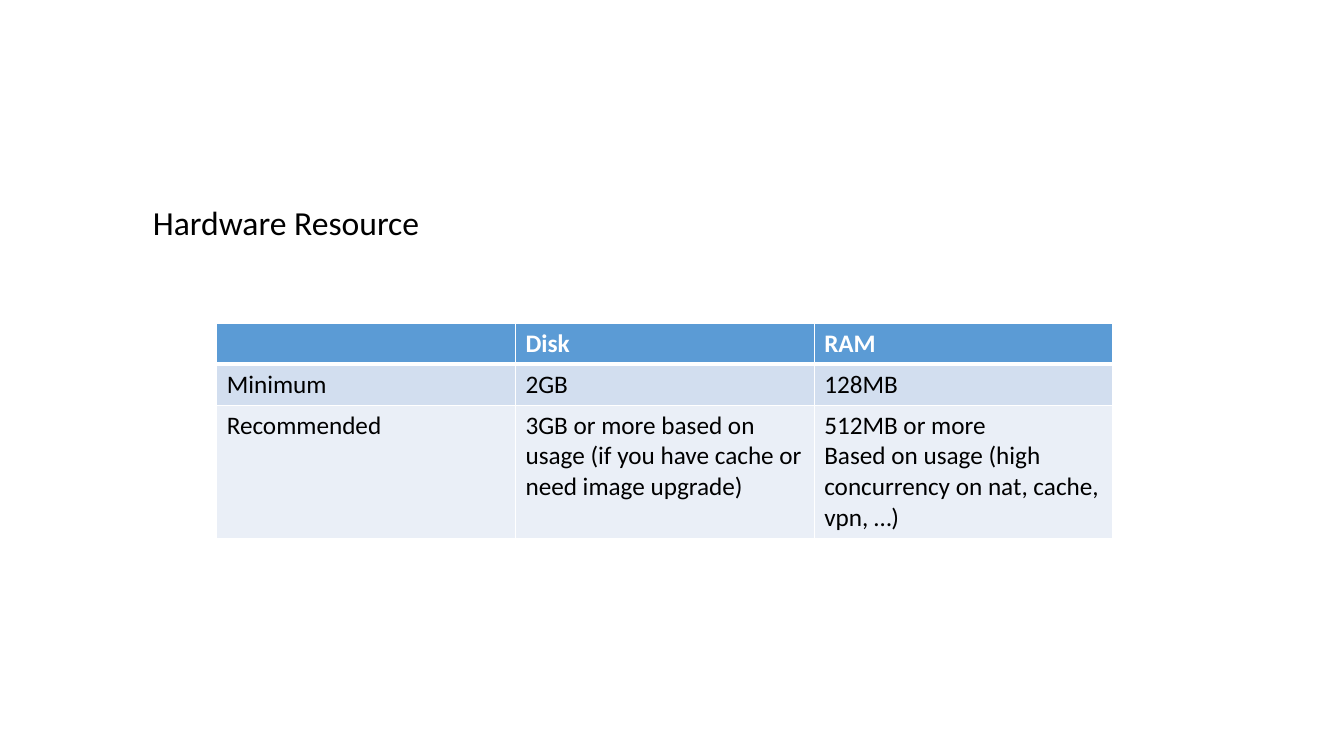
"""Build the hardware resource slide: a heading and a table of requirements."""
from lxml import etree
from pptx import Presentation
from pptx.dml.color import RGBColor
from pptx.enum import text
from pptx.oxml.ns import qn
from pptx.util import Inches, Pt

COLORS = {"ink": "000000", "white": "FFFFFF", "header": "5B9BD5",
          "band_dark": "D2DEEF", "band_light": "EAEFF7"}
GRID_COLS, GRID_ROWS = 160, 90


def write(tf, content, size=18, color="ink", bold=False, font="Calibri",
          line=None, before=0):
    tf.text = content
    for p in tf.paragraphs:
        p.alignment = text.PP_ALIGN.LEFT
        p.line_spacing, p.space_before = line, Pt(before)
        for f in [p.font] + [r.font for r in p.runs]:
            f.name, f.size, f.bold = font, Pt(size), bold
            f.color.rgb = RGBColor.from_string(COLORS[color])


class Deck:
    def __init__(self):
        self.prs = Presentation()
        self.prs.slide_width, self.prs.slide_height = Inches(13.33), Inches(7.5)
        self.s = self.prs.slides.add_slide(self.prs.slide_layouts[5])

    def x(self, cols):
        return round(self.prs.slide_width * cols / GRID_COLS)

    def y(self, rows):
        return round(self.prs.slide_height * rows / GRID_ROWS)

    def title(self, content, left, top, width, height, indent):
        sp = self.s.shapes.title
        sp.left, sp.top = self.x(left), self.y(top)
        sp.width, sp.height = self.x(width), self.y(height)
        tf = sp.text_frame
        tf.vertical_anchor = text.MSO_ANCHOR.TOP
        tf.auto_size = text.MSO_AUTO_SIZE.NONE
        tf.margin_left = self.x(indent)
        write(tf, content, size=24, line=0.9, before=5)

    def border(self, cell, side, width):
        ln = etree.SubElement(cell._tc.get_or_add_tcPr(), qn(f"a:ln{side}"),
                              w=str(Pt(width)))
        fill = etree.SubElement(ln, qn("a:solidFill"))
        etree.SubElement(fill, qn("a:srgbClr"), val=COLORS["white"])

    def table(self, data, left, top, width, heights):
        tbl = self.s.shapes.add_table(
            len(data), len(data[0]), self.x(left), self.y(top),
            self.x(width), self.y(sum(heights))).table
        bands = ["header", "band_dark", "band_light"]
        for i, (values, height) in enumerate(zip(data, heights)):
            tbl.rows[i].height = self.y(height)
            header = i == 0
            widths = {"L": 1, "R": 1, "T": 3 if i == 1 else 1,
                      "B": 3 if header else 1}
            for j, value in enumerate(values):
                cell = tbl.cell(i, j)
                for side, w in widths.items():
                    self.border(cell, side, w)
                cell.fill.solid()
                cell.fill.fore_color.rgb = RGBColor.from_string(COLORS[bands[i]])
                write(cell.text_frame, value, bold=header,
                      color="white" if header else "ink")


deck = Deck()
deck.title("Hardware Resource", left=11, top=24, width=138, height=57.1, indent=7.2)
deck.table([
    ["", "Disk", "RAM"],
    ["Minimum", "2GB", "128MB"],
    ["Recommended",
     "3GB or more based on usage (if you have cache or need image upgrade)",
     "512MB or more\nBased on usage (high concurrency on nat, cache, vpn, …)"],
], left=25.8, top=38.5, width=106.7, heights=[4.85, 4.85, 15.6])
deck.prs.save("out.pptx")
